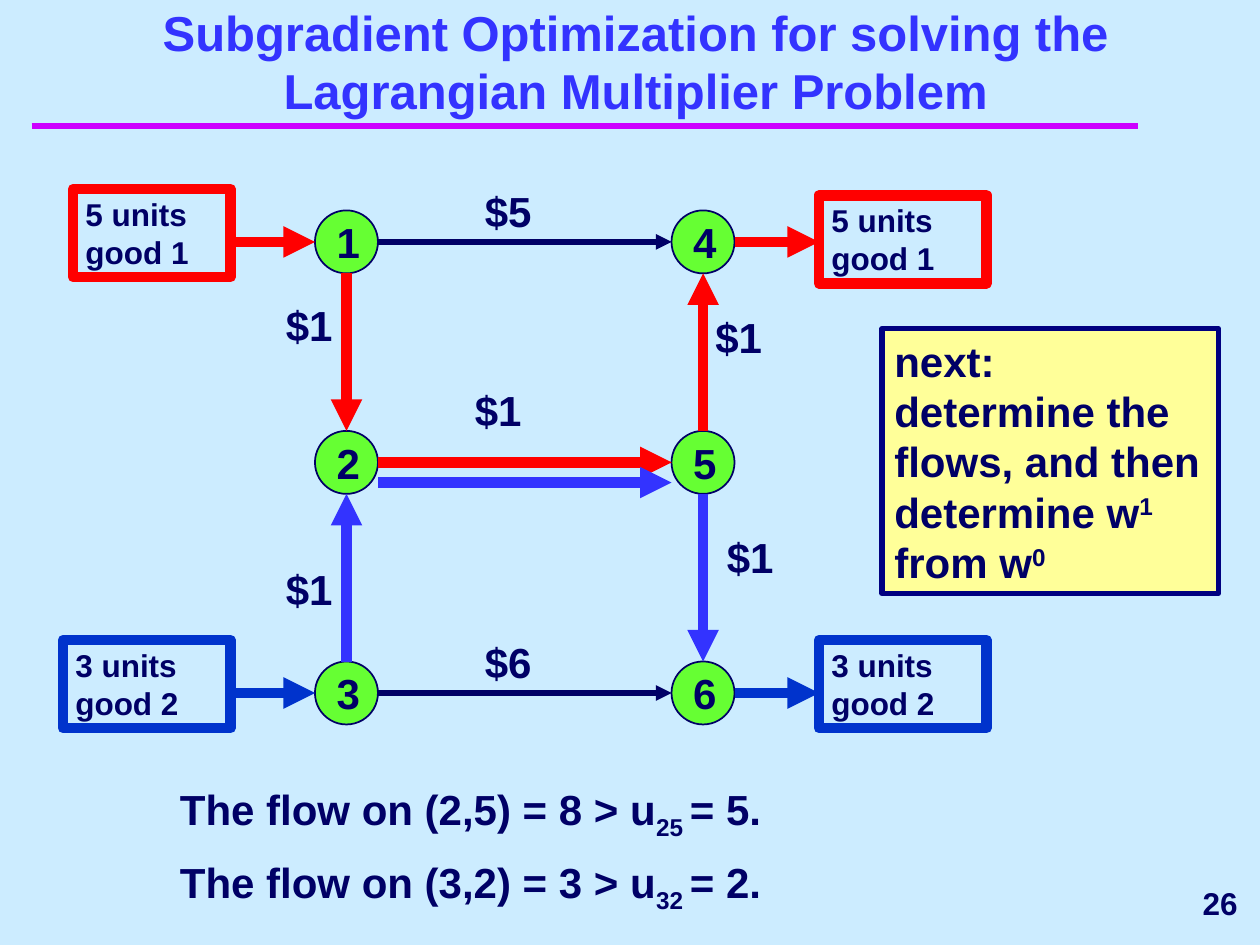
from typing import NamedTuple

from lxml.etree import SubElement
from pptx import Presentation
from pptx.dml.color import RGBColor
from pptx.enum.shapes import MSO_CONNECTOR, MSO_SHAPE
from pptx.enum.text import MSO_ANCHOR, PP_ALIGN
from pptx.oxml.ns import qn
from pptx.util import Inches, Pt

NAVY, RED, BLUE, VIOLET = "000066", "FF0000", "0033CC", "3333FF"


class Node(NamedTuple):
    name: str
    x: float
    y: float


class Arc(NamedTuple):
    x1: float
    y1: float
    x2: float
    y2: float
    color: str
    width: float = 6


class Terminal(NamedTuple):
    text: str
    x: float
    y: float
    w: float
    color: str


class Label(NamedTuple):
    text: str
    x: float
    y: float


class Run(NamedTuple):
    text: str
    baseline: int = 0


def rgb(color: str) -> RGBColor:
    return RGBColor.from_string(color)


def write(sp, runs: list[Run], size: float, color: str = NAVY,
          align=PP_ALIGN.LEFT, anchor=MSO_ANCHOR.TOP) -> None:
    tf = sp.text_frame
    tf.word_wrap = True
    tf.vertical_anchor = anchor
    p = tf.paragraphs[0]
    p.alignment = align
    for run in runs:
        if run.text == "\n":
            p.add_line_break()
            continue
        r = p.add_run()
        r.text = run.text
        r.font.name, r.font.size, r.font.bold = "Arial", Pt(size), True
        r.font.color.rgb = rgb(color)
        if run.baseline:
            r.font._element.set("baseline", str(run.baseline * 1000))


def add_text(s, x: float, y: float, w: float, h: float, runs: list[Run], size: float, **style) -> None:
    sp = s.shapes.add_textbox(Inches(x), Inches(y), Inches(w), Inches(h))
    write(sp, runs, size, **style)


def add_box(s, kind, x: float, y: float, w: float, h: float, line: str, width: float, fill: str = ""):
    sp = s.shapes.add_shape(kind, Inches(x), Inches(y), Inches(w), Inches(h))
    sp.shadow.inherit = False
    if fill:
        sp.fill.solid()
        sp.fill.fore_color.rgb = rgb(fill)
    else:
        sp.fill.background()
    sp.line.color.rgb = rgb(line)
    sp.line.width = Pt(width)
    return sp


def add_line(s, arc: Arc, arrow: bool = True) -> None:
    ends = (Inches(v) for v in arc[:4])
    line = s.shapes.add_connector(MSO_CONNECTOR.STRAIGHT, *ends)
    line.line.color.rgb = rgb(arc.color)
    line.line.width = Pt(arc.width)
    if arrow:
        SubElement(line.line._get_or_add_ln(), qn("a:tailEnd"), type="triangle")
    SubElement(line._element.spPr, qn("a:effectLst"))


# Network grid: two columns and three rows of round nodes
SIZE = 0.5
LEFT, RIGHT = 2.5, 5.33
ROWS = (1.67, 3.42, 5.25)
MID = SIZE / 2
TOP_Y, MID_Y, LOW_Y = (y + MID for y in ROWS)
LEFT_X, RIGHT_X = LEFT + MID, RIGHT + MID
GAP = 0.67  # length of the arrows to and from the terminals

NODES = [Node(str(3 * col + row + 1), x, y)
         for col, x in enumerate((LEFT, RIGHT)) for row, y in enumerate(ROWS)]

ARCS = [
    *(Arc(LEFT + SIZE, y, RIGHT, y, NAVY, 3) for y in (TOP_Y, LOW_Y)),
    *(Arc(x, y, x + GAP, y, color)
      for y, color in ((TOP_Y, RED), (LOW_Y, BLUE))
      for x in (LEFT - GAP, RIGHT + SIZE)),
]

FLOWS = [
    Arc(LEFT_X, ROWS[0] + SIZE, LEFT_X, ROWS[1], RED),
    Arc(LEFT + SIZE, MID_Y, RIGHT, MID_Y, RED),
    Arc(RIGHT_X, ROWS[1], RIGHT_X, ROWS[0] + SIZE, RED),
    Arc(LEFT_X, ROWS[2], LEFT_X, ROWS[1] + SIZE, VIOLET),
    Arc(RIGHT_X, ROWS[1] + SIZE, RIGHT_X, ROWS[2], VIOLET),
    Arc(LEFT + SIZE, 3.83, RIGHT, 3.83, VIOLET),
]

TERMINALS = [
    Terminal("5 units good 1", 0.58, 1.5, 1.25, RED),
    Terminal("5 units good 1", 6.5, 1.55, 1.33, RED),
    Terminal("3 units good 2", 0.5, 5.08, 1.33, BLUE),
    Terminal("3 units good 2", 6.5, 5.08, 1.33, BLUE),
]

COSTS = [
    Label("$5", 3.75, 1.42), Label("$1", 3.67, 3), Label("$6", 3.75, 5),
    Label("$1", 2.17, 4.42), Label("$1", 2.17, 2.33),
    Label("$1", 5.58, 2.42), Label("$1", 5.67, 4.17),
]


def main() -> None:
    prs = Presentation()
    prs.slide_width, prs.slide_height = Inches(10), Inches(7.5)
    s = prs.slides.add_slide(prs.slide_layouts[6])
    s.background.fill.solid()
    s.background.fill.fore_color.rgb = rgb("CCECFF")

    # Title, rule and page number
    add_line(s, Arc(0.25, 1, 9.03, 1, "CC00FF", 4), arrow=False)
    add_text(s, 8, 6.92, 1.92, 0.5, [Run("26")], 18,
             align=PP_ALIGN.RIGHT, anchor=MSO_ANCHOR.MIDDLE)
    title = "Subgradient Optimization for solving the Lagrangian Multiplier Problem"
    add_text(s, 0.42, 0.58, 9.25, 0.42, [Run(title)], 28, color=VIOLET,
             align=PP_ALIGN.CENTER, anchor=MSO_ANCHOR.BOTTOM)

    # Network with supplies, demands and costs
    for node in NODES:
        sp = add_box(s, MSO_SHAPE.OVAL, node.x, node.y, SIZE, SIZE, NAVY, 1, "66FF33")
        write(sp, [Run(node.name)], 24, align=PP_ALIGN.CENTER, anchor=MSO_ANCHOR.MIDDLE)
    for arc in ARCS:
        add_line(s, arc)
    for t in TERMINALS:
        sp = add_box(s, MSO_SHAPE.RECTANGLE, t.x, t.y, t.w, 0.7, t.color, 6)
        write(sp, [Run(t.text)], 18)
    for cost in COSTS:
        add_text(s, cost.x, cost.y, 0.67, 0.5, [Run(cost.text)], 24)

    # Next step
    sp = add_box(s, MSO_SHAPE.RECTANGLE, 7, 2.61, 2.67, 2.1, "000080", 3, "FFFF99")
    write(sp, [Run("next:"), Run("\n"), Run("determine the flows, and then determine w"),
               Run("1", 30), Run(" from w"), Run("0", 30)], 24)

    # Flows of the two goods
    for flow in FLOWS:
        add_line(s, flow)

    # Violated capacities
    for y, arc, flow, cap in ((6.17, "2,5", 8, 5), (6.75, "3,2", 3, 2)):
        index = arc.replace(",", "")
        add_text(s, 1.33, y, 7.42, 0.56, [Run(f"The flow on ({arc}) = {flow} > u"),
                                          Run(f"{index} ", -25), Run(f"= {cap}.")], 24)

    prs.save("out.pptx")


if __name__ == "__main__":
    main()
